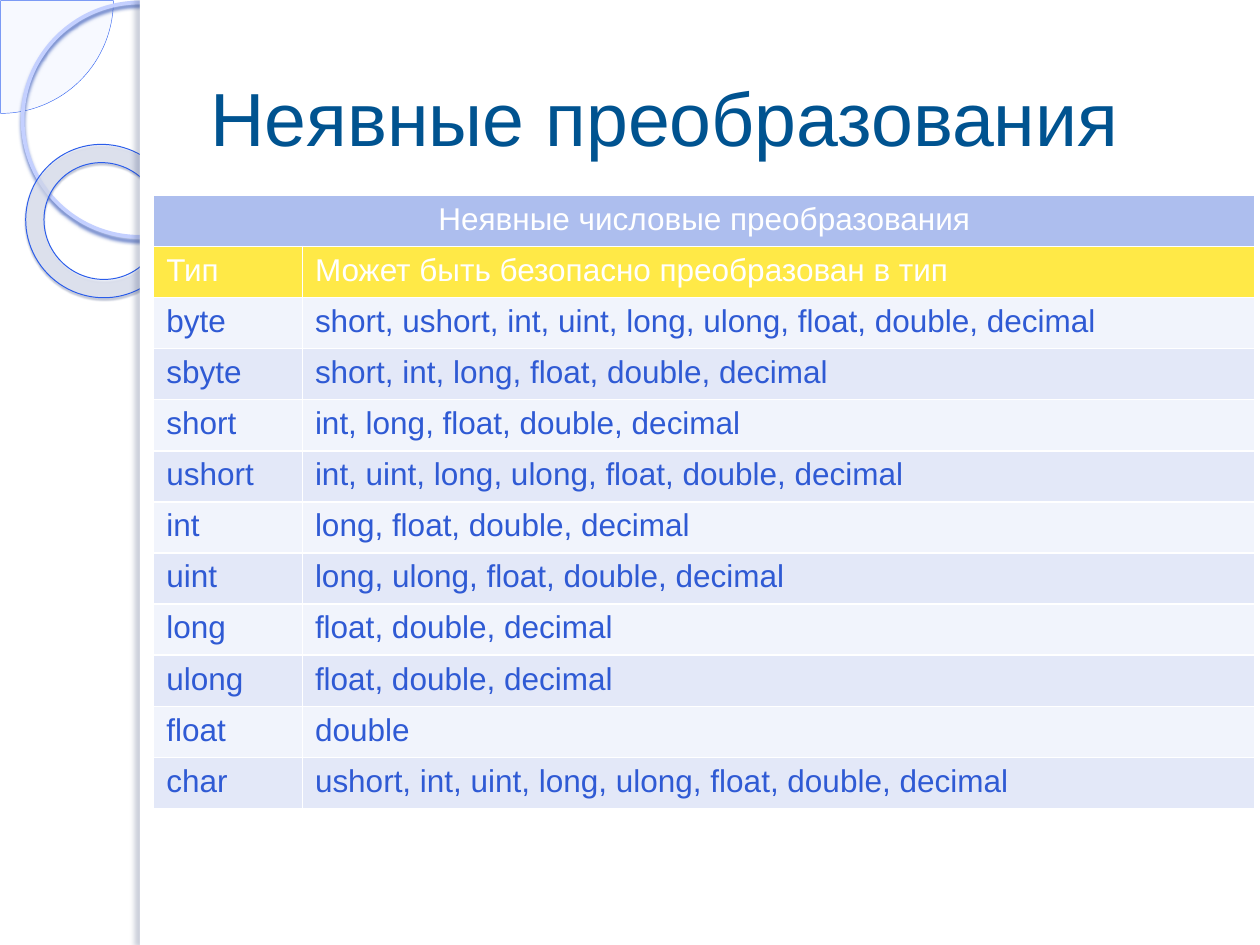
from pptx import Presentation
from pptx.dml.color import RGBColor
from pptx.enum.shapes import MSO_SHAPE as Preset
from pptx.enum.text import MSO_ANCHOR as Anchor, PP_ALIGN as Align
from pptx.oxml import parse_xml
from pptx.oxml.ns import nsdecls, qn
from pptx.util import Inches, Pt

FONT = "Arial"
WHITE = "FFFFFF"
TITLE_BLUE = "005390"
TEXT_BLUE = "2F5AD4"
HEADER_BLUE = "ADBEEE"
HEADER_YELLOW = "FFE947"
BANDS = ("F1F4FC", "E3E8F8")

CONVERSIONS = [
    ("byte", "short, ushort, int, uint, long, ulong, float, double, decimal"),
    ("sbyte", "short, int, long, float, double, decimal"),
    ("short", "int, long, float, double, decimal"),
    ("ushort", "int, uint, long, ulong, float, double, decimal"),
    ("int", "long, float, double, decimal"),
    ("uint", "long, ulong, float, double, decimal"),
    ("long", "float, double, decimal"),
    ("ulong", "float, double, decimal"),
    ("float", "double"),
    ("char", "ushort, int, uint, long, ulong, float, double, decimal"),
]


def color(hex_code):
    return RGBColor.from_string(hex_code)


def write(frame, text, size=18, hex_code=TEXT_BLUE, align=Align.LEFT):
    paragraph = frame.paragraphs[0]
    paragraph.alignment = align
    run = paragraph.add_run()
    run.text = text
    run.font.name = FONT
    run.font.size = Pt(size)
    run.font.color.rgb = color(hex_code)


def add_shadow(shape, hex_code, alpha, blur, distance, angle):
    effects = shape._element.spPr.find(qn("a:effectLst"))
    effects.append(parse_xml(
        f'<a:outerShdw {nsdecls("a")} blurRad="{Pt(blur)}" dist="{Pt(distance)}" '
        f'dir="{angle * 60000}" algn="tl" rotWithShape="0"><a:srgbClr val="{hex_code}">'
        f'<a:alpha val="{alpha * 1000}"/></a:srgbClr></a:outerShdw>'))


def add_decoration(slide, preset, box, fill=None, alpha=100, line=None, width=1,
                   shadow=None, adjustments=(), rotation=0):
    shape = slide.shapes.add_shape(preset, *map(Inches, box))
    shape.shadow.inherit = False
    shape.rotation = rotation
    for index, value in enumerate(adjustments):
        shape.adjustments[index] = value
    if fill:
        shape.fill.solid()
        shape.fill.fore_color.rgb = color(fill)
        if alpha < 100:
            tint = shape._element.spPr.find(qn("a:solidFill"))[0]
            tint.append(parse_xml(f'<a:alpha {nsdecls("a")} val="{alpha * 1000}"/>'))
    else:
        shape.fill.background()
    if line:
        shape.line.color.rgb = color(line)
        shape.line.width = Pt(width)
    else:
        shape.line.fill.background()
    if shadow:
        add_shadow(shape, *shadow)


def add_side_panel(slide):
    add_decoration(slide, Preset.PIE, (-0.89, -0.89, 1.79, 1.79), fill="E9EDFF",
                   alpha=33, line="3868F1", width=0.25, adjustments=(0, 54))
    add_decoration(slide, Preset.OVAL, (0.18, 0.02, 1.86, 1.86), line="C4D0FF",
                   width=2.15, shadow=("4463BC", 85, 2, 2, 90))
    add_decoration(slide, Preset.DONUT, (0.2, 1.15, 1.23, 1.21), fill="E6EAF6",
                   alpha=65, line="2B5DEA", width=0.58, adjustments=(0.12,),
                   rotation=38.6, shadow=("182C67", 35, 1, 1.2, 75))
    add_decoration(slide, Preset.RECTANGLE, (1.11, 0, 8.89, 7.5), fill=WHITE)
    add_decoration(slide, Preset.RECTANGLE, (1.11, 0, 0.08, 7.5), fill=WHITE,
                   shadow=("384873", 25, 3, 3, 180))


def add_title(slide, text):
    title = slide.shapes.title
    title.left, title.top = Inches(1.57), Inches(0.3)
    title.width, title.height = Inches(8.2), Inches(1.25)
    title.text_frame.vertical_anchor = Anchor.MIDDLE
    write(title.text_frame, text, size=43, hex_code=TITLE_BLUE)
    slide.shapes._spTree.append(title._element)


def format_cell(cell, fill):
    properties = cell._tc.get_or_add_tcPr()
    for side in ("lnL", "lnR", "lnT", "lnB"):
        properties.append(parse_xml(
            f'<a:{side} {nsdecls("a")} w="{Pt(1)}"><a:solidFill>'
            f'<a:srgbClr val="{WHITE}"/></a:solidFill></a:{side}>'))
    cell.fill.solid()
    cell.fill.fore_color.rgb = color(fill)


def add_conversion_table(slide):
    rows = [
        ("Неявные числовые преобразования", ""),
        ("Тип", "Может быть безопасно преобразован в тип"),
        *CONVERSIONS,
    ]
    headers = (HEADER_BLUE, HEADER_YELLOW)
    table = slide.shapes.add_table(len(rows), 2, Inches(1.22), Inches(1.55),
                                   Inches(8.74), Inches(4.87)).table
    for column, width in zip(table.columns, (1.18, 7.56)):
        column.width = Inches(width)
    for r, texts in enumerate(rows):
        is_header = r < len(headers)
        fill = headers[r] if is_header else BANDS[r % 2]
        for c, text in enumerate(texts):
            cell = table.cell(r, c)
            format_cell(cell, fill)
            if text:
                write(cell.text_frame, text,
                      hex_code=WHITE if is_header else TEXT_BLUE,
                      align=Align.CENTER if r == 0 else Align.LEFT)
    table.cell(0, 0).merge(table.cell(0, 1))


def main():
    deck = Presentation()
    deck.slide_width, deck.slide_height = Inches(10), Inches(7.5)
    slide = deck.slides.add_slide(deck.slide_layouts[5])
    add_side_panel(slide)
    add_title(slide, "Неявные преобразования")
    add_conversion_table(slide)
    deck.save("out.pptx")


if __name__ == "__main__":
    main()
